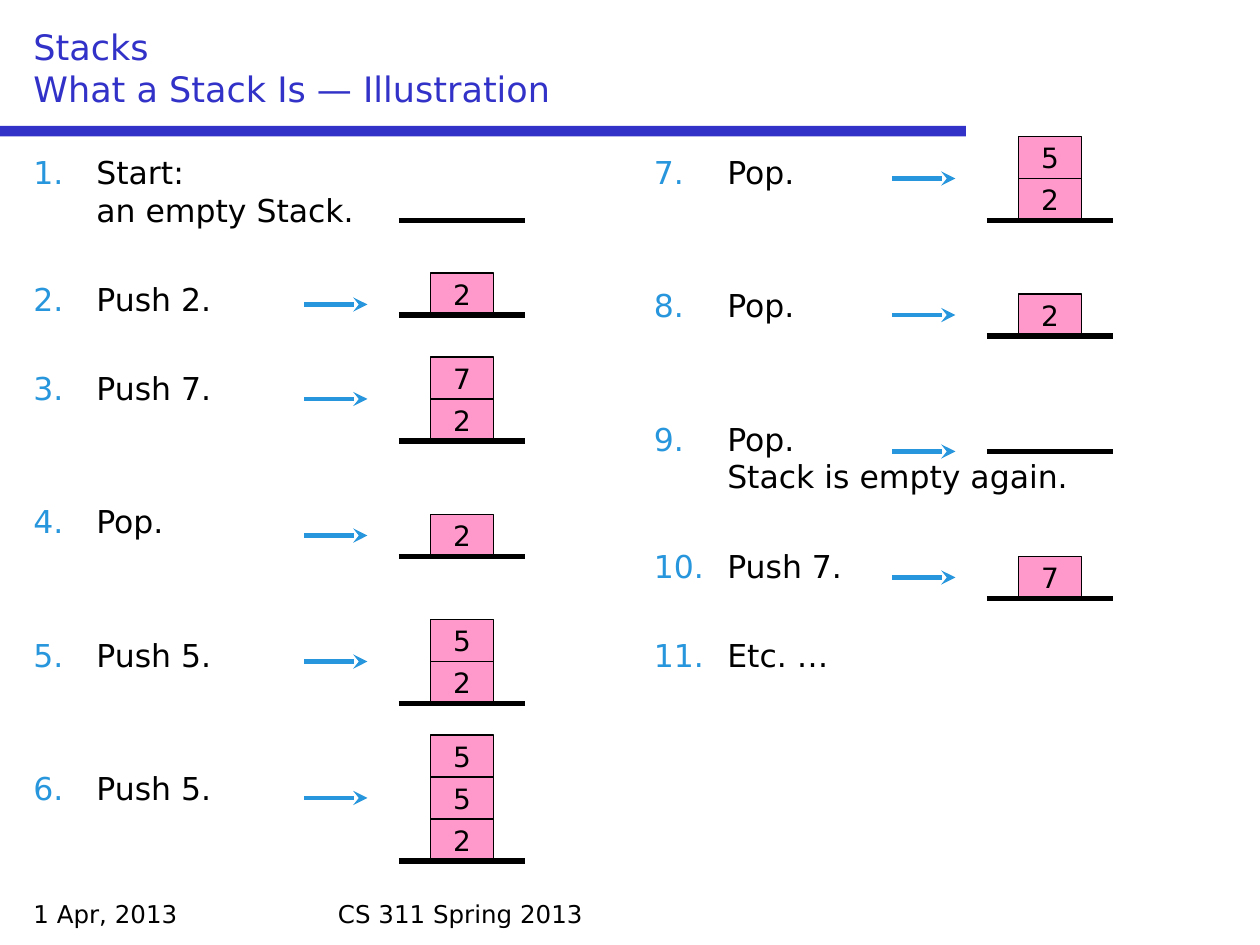
from lxml import etree
from pptx import Presentation
from pptx.dml.color import RGBColor
from pptx.enum.shapes import MSO_CONNECTOR, MSO_SHAPE
from pptx.enum.text import MSO_ANCHOR, PP_ALIGN
from pptx.oxml.ns import qn
from pptx.util import Pt

STRAIGHT = MSO_CONNECTOR.STRAIGHT
RECTANGLE = MSO_SHAPE.RECTANGLE
TOP, MIDDLE, BOTTOM = MSO_ANCHOR.TOP, MSO_ANCHOR.MIDDLE, MSO_ANCHOR.BOTTOM
CENTER = PP_ALIGN.CENTER

FONT = "DejaVu Sans"
INDIGO = RGBColor(0x32, 0x32, 0xC8)
BLUE = RGBColor(0x28, 0x96, 0xDC)
PINK = RGBColor(0xFF, 0x99, 0xCC)
BLACK = RGBColor(0, 0, 0)

# Content: text lines, empty rows above, arrow height, stack floor, stack bottom to top
TITLE = ["Stacks", "What a Stack Is — Illustration"]
FOOTERS = [("1 Apr, 2013", 12, 168), ("CS 311 Spring 2013", 186, 348)]
LEFT_STEPS = [
    (["Start:", "an empty Stack."], 0, None, 126, []),
    (["Push 2."], 1, 174, 180, [2]),
    (["Push 7."], 1, 228, 252, [2, 7]),
    (["Pop."], 2, 306, 318, [2]),
    (["Push 5."], 2, 378, 402, [2, 5]),
    (["Push 5."], 2, 456, 492, [2, 5, 5]),
]
RIGHT_STEPS = [
    (["Pop."], 0, 102, 126, [2, 5]),
    (["Pop."], 2, 180, 192, [2]),
    (["Pop.", "Stack is empty again."], 2, 258, 258, []),
    (["Push 7."], 1, 330, 342, [7]),
    (["Etc. …"], 1, None, None, []),
]
# Steps, list left, number indent, first number, left edge of the drawings
COLUMNS = [
    (LEFT_STEPS, 12, 36, 1, 174),
    (RIGHT_STEPS, 366.5, 42, 7, 510),
]

# Layout
ROW, ROW_GAP = 25.15, 4.2
ARROW_LENGTH = 36
FLOOR_OFFSET, FLOOR_LENGTH = 54, 72
BLOCK_OFFSET, BLOCK_WIDTH, BLOCK_HEIGHT = 72, 36, 24

deck = Presentation()
deck.slide_width, deck.slide_height = Pt(720), Pt(540)
page = deck.slides.add_slide(deck.slide_layouts[6])


def add_lines(para, lines, size, color):
    for index, line in enumerate(lines):
        if index:
            para.add_line_break()
        span = para.add_run()
        span.text = line
        span.font.name, span.font.size = FONT, Pt(size)
        span.font.color.rgb = color
    para.font.size = Pt(size)


def add_text_frame(left, top, width, height, anchor=TOP):
    box = page.shapes.add_textbox(Pt(left), Pt(top), Pt(width), Pt(height))
    box.text_frame.word_wrap = True
    box.text_frame.vertical_anchor = anchor
    return box.text_frame


def add_rectangle(left, top, width, height, fill):
    shape = page.shapes.add_shape(RECTANGLE, Pt(left), Pt(top), Pt(width), Pt(height))
    shape.shadow.inherit = False
    shape.fill.solid()
    shape.fill.fore_color.rgb = fill
    return shape


def add_line(left, y, length, color, weight, arrow=False):
    line = page.shapes.add_connector(STRAIGHT, Pt(left), Pt(y), Pt(left + length), Pt(y))
    line.line.color.rgb = color
    line.line.width = Pt(weight)
    if arrow:
        etree.SubElement(line.line._get_or_add_ln(), qn("a:tailEnd"), type="stealth")
    etree.SubElement(line._element.spPr, qn("a:effectLst"))


def number_paragraph(para, indent, start):
    properties = para._p.get_or_add_pPr()
    properties.set("marL", str(Pt(indent)))
    properties.set("indent", str(-Pt(indent)))
    bullet_color = etree.SubElement(properties, qn("a:buClr"))
    etree.SubElement(bullet_color, qn("a:srgbClr"), val=str(BLUE))
    etree.SubElement(properties, qn("a:buAutoNum"), type="arabicPeriod", startAt=str(start))


def add_stack(left, floor, values):
    for level, value in enumerate(values, 1):
        block = add_rectangle(left + BLOCK_OFFSET, floor - level * BLOCK_HEIGHT,
                              BLOCK_WIDTH, BLOCK_HEIGHT, PINK)
        block.line.color.rgb = BLACK
        block.line.width = Pt(1)
        frame = block.text_frame
        frame.word_wrap = False
        frame.vertical_anchor = MIDDLE
        frame.paragraphs[0].alignment = CENTER
        add_lines(frame.paragraphs[0], [str(value)], 16, BLACK)
    add_line(left + FLOOR_OFFSET, floor, FLOOR_LENGTH, BLACK, 3)


# Title, rule and footers
add_rectangle(0, 72, 552, 6, INDIGO).line.fill.background()
add_lines(add_text_frame(12, 12, 696, 54, BOTTOM).paragraphs[0], TITLE, 20, INDIGO)
for text, left, width in FOOTERS:
    add_lines(add_text_frame(left, 510, width, 24).paragraphs[0], [text], 14, BLACK)

# Numbered steps with their arrows and stacks
for steps, list_left, indent, start, drawing_left in COLUMNS:
    frame = add_text_frame(list_left, 84, 341.5, 420)
    for index, (lines, empty_rows, arrow_y, floor, values) in enumerate(steps):
        para = frame.add_paragraph() if index else frame.paragraphs[0]
        number_paragraph(para, indent, start)
        if index:
            para.space_before = Pt(round(empty_rows * ROW + ROW_GAP, 2))
        add_lines(para, lines, 18, BLACK)
        if arrow_y is not None:
            add_line(drawing_left, arrow_y, ARROW_LENGTH, BLUE, 2.75, arrow=True)
        if floor is not None:
            add_stack(drawing_left, floor, values)

deck.save("out.pptx")
